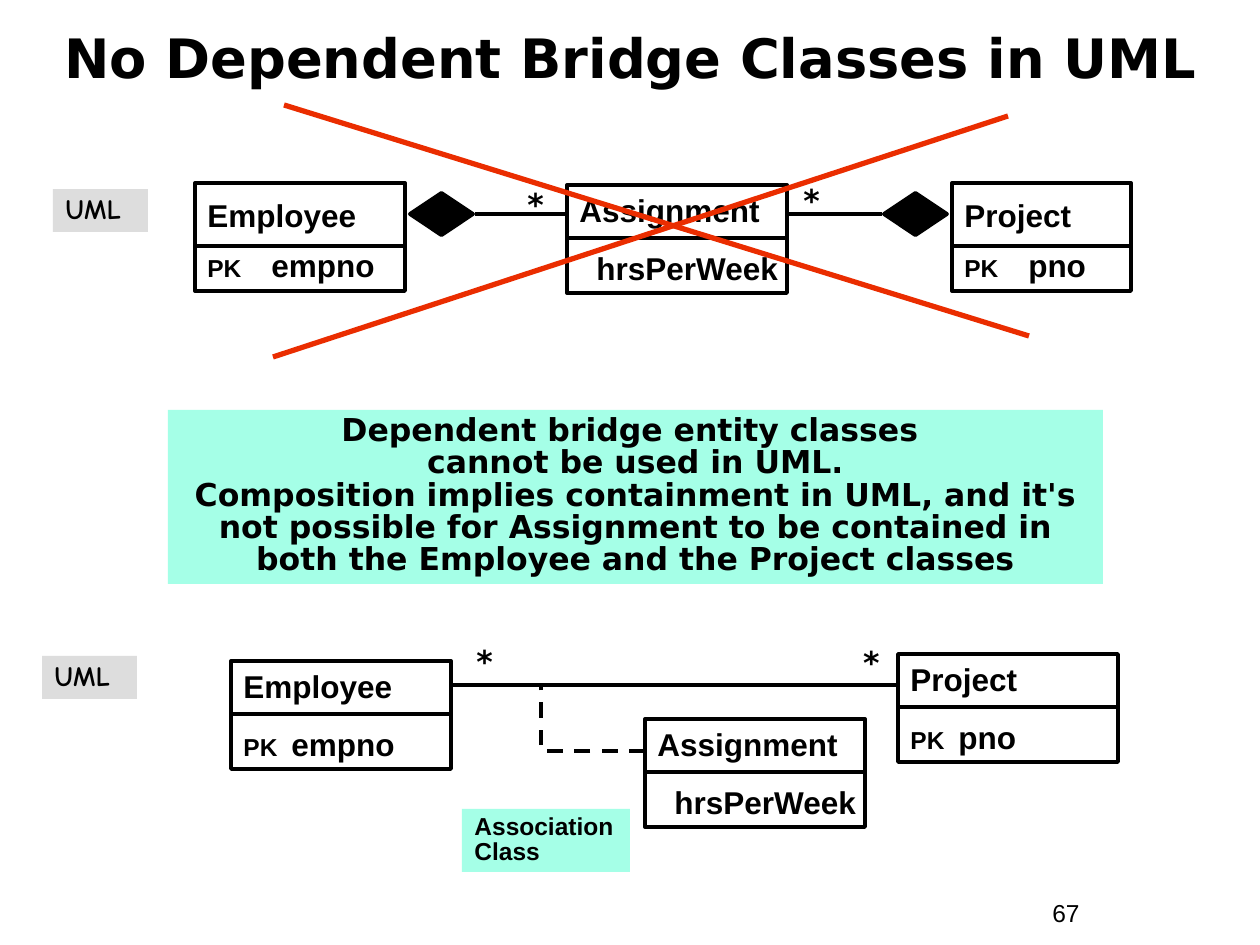
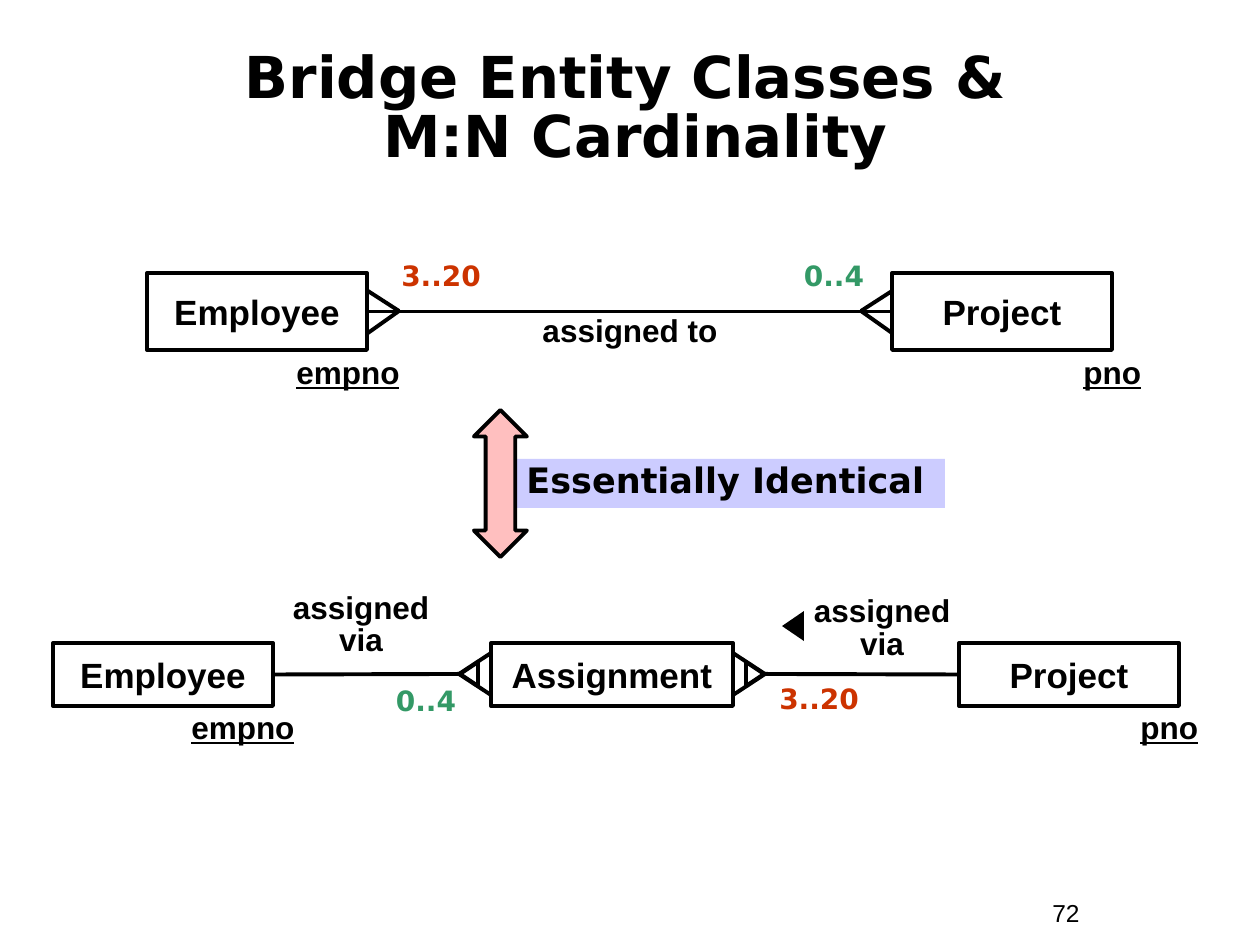
"""Build two slides on bridge classes in UML and entity diagrams."""
from dataclasses import dataclass

from lxml import etree
from pptx import Presentation
from pptx.dml.color import RGBColor
from pptx.enum import dml, shapes, text
from pptx.oxml import ns
from pptx.util import Pt


@dataclass(frozen=True)
class Theme:
    """Colours, fonts, type sizes and line widths."""
    ink: str = "000000"
    cross: str = "EA2D00"
    mint: str = "A5FFE7"
    grey: str = "DDDDDD"
    lilac: str = "CCCCFF"
    pink: str = "FFBFBF"
    many: str = "CC3300"
    few: str = "339966"
    sans: str = "Arial"
    display: str = "DejaVu Sans"
    hand: str = "Comic Neue"
    small: int = 14
    medium: int = 16
    body: int = 18
    large: int = 20
    border: float = 2.25
    strike: float = 3


THEME = Theme()
SCALE = 914400 / 126
PAGE_SIZE = (1260, 945)
NUMBER_AREA = (1040, 892, 116, 43)
HEAD_HEIGHT = 63
UML_SIZE = (220, 108)
UML_DIVIDER = 53
SIDES = {"top": 0, "left": 1, "bottom": 2, "right": 3}
CENTER = text.PP_ALIGN.CENTER
MIDDLE = text.MSO_ANCHOR.MIDDLE

BASE = dict(font=THEME.sans, size=THEME.body, color=THEME.ink, bold=True, underline=None,
            align=text.PP_ALIGN.LEFT, spacing=None, anchor=text.MSO_ANCHOR.TOP, wrap=True,
            fill=None, border=None, tab=None, indent=0)
FORMATS = {
    "number": dict(size=THEME.small, bold=False),
    "title": dict(font=THEME.display, size=31, align=CENTER, anchor=MIDDLE),
    "title two lines": dict(font=THEME.display, size=33, align=CENTER, anchor=MIDDLE, spacing=0.85),
    "star": dict(font=THEME.display, align=CENTER, spacing=0.9),
    "notation": dict(font=THEME.hand, size=THEME.medium, spacing=0.9, fill=THEME.grey),
    "class": dict(border=THEME.ink, wrap=False, tab=48, indent=17),
    "class head": dict(border=THEME.ink, wrap=False, anchor=MIDDLE),
    "class key": dict(border=THEME.ink, spacing=0.85, tab=64),
    "message": dict(font=THEME.display, align=CENTER, spacing=0.85, fill=THEME.mint),
    "note": dict(size=THEME.small, spacing=0.85, fill=THEME.mint),
    "entity": dict(size=THEME.large, align=CENTER, anchor=MIDDLE, wrap=False, border=THEME.ink),
    "key": dict(underline=True, spacing=0.8),
    "lower key": dict(underline=True, spacing=0.9),
    "many": dict(font=THEME.display, size=THEME.medium, align=CENTER, color=THEME.many),
    "few": dict(font=THEME.display, size=THEME.medium, align=CENTER, color=THEME.few),
    "role": dict(align=CENTER, spacing=0.85),
    "banner": dict(font=THEME.display, size=THEME.large, spacing=0.85, fill=THEME.lilac),
}

UML_LABELS = [
    ("title", (42, 10, 1176, 94), "No Dependent Bridge Classes in UML"),
    ("star", (840, 641, 63, 47), "*"),
    ("star", (432, 640, 105, 47), "*"),
    ("star", (508, 183, 55, 47), "*"),
    ("star", (784, 179, 55, 47), "*"),
    ("notation", (42, 656, 95, 43), "UML"),
    ("notation", (53, 189, 95, 43), "UML"),
    ("message", (168, 410, 935, 174),
     "Dependent bridge entity classes \vcannot be used in UML.\vComposition implies containment "
     "in UML, and it's not possible for Assignment to be contained in both the Employee and "
     "the Project classes"),
    ("note", (462, 809, 168, 63), "Association Class"),
]
UML_CLASSES = [
    (567, 185, "Assignment", "hrsPerWeek", False),
    (645, 719, "Assignment", "hrsPerWeek", False),
    (231, 661, "Employee", "empno", True),
    (898, 654, "Project", "pno", True),
]
COMPOSED_CLASSES = [(195, 183, 210, "Employee", "empno"), (952, 183, 179, "Project", "pno")]
DIAMONDS = [(410, 193, 63, 42), (884, 193, 63, 42)]
UML_LINES = [(451, 685, 898, 685), (567, 214, 475, 214), (787, 214, 882, 214)]
ASSOCIATION_LINK = (645, 751, 541, 685)
CROSS_LINES = [(273, 357, 1008, 116), (1029, 336, 284, 105)]

ENTITY_LABELS = [
    ("title two lines", (42, 42, 1187, 136), "Bridge Entity Classes & \vM:N Cardinality"),
    ("few", (766, 252, 136, 47), "0..4"),
    ("many", (357, 252, 168, 47), "3..20"),
    ("few", (358, 677, 136, 47), "0..4"),
    ("many", (735, 675, 168, 47), "3..20"),
    ("key", (284, 354, 189, 77), "empno"),
    ("key", (1071, 354, 116, 43), "pno"),
    ("lower key", (179, 706, 189, 47), "empno"),
    ("lower key", (1128, 706, 122, 47), "pno"),
    ("role", (525, 311, 210, 45), "assigned to"),
    ("role", (277, 588, 168, 77), "assigned via"),
    ("role", (798, 591, 168, 77), "assigned via"),
    ("banner", (514, 459, 431, 49), "Essentially Identical"),
]
ENTITIES = {
    "upper employee": ((147, 273, 220, 77), "Employee"),
    "upper project": ((892, 273, 220, 77), "Project"),
    "lower employee": ((53, 643, 220, 63), "Employee"),
    "assignment": ((491, 643, 242, 63), "Assignment"),
    "lower project": ((959, 643, 220, 63), "Project"),
}
RELATIONS = [
    ((367, 311, 892, 311), ("upper employee", "right"), ("upper project", "left")),
    ((273, 674, 460, 674), ("lower employee", "right"), None),
    ((959, 674, 765, 674), ("lower project", "left"), None),
]
CROW_FEET = [(399, 368), (861, 892)]
CROW_FOOT_Y = (311, 291, 333)
BRIDGE_FEET = [(733, 1), (491, -1)]
FOOT_TRIANGLES = [(16, 42, 32), (22, 24, 18)]
DOUBLE_ARROW = (474, 410, 53, 147)


def px(*lengths):
    """Turn px lengths into EMU."""
    return [round(length * SCALE) for length in lengths]


def assign(target, **values):
    """Set each named attribute on the target."""
    for name, value in values.items():
        setattr(target, name, value)


def paint(shape, fill=None, border=None):
    """Give a shape its fill and border, or none."""
    shape.shadow.inherit = False
    if fill:
        shape.fill.solid()
        shape.fill.fore_color.rgb = RGBColor.from_string(fill)
    else:
        shape.fill.background()
    if border:
        shape.line.color.rgb = RGBColor.from_string(border)
        shape.line.width = Pt(THEME.border)
    else:
        shape.line.fill.background()


def add_preset(page, kind, area, fill=None, border=None, rotation=0):
    """Add a painted preset shape."""
    shape = page.shapes.add_shape(kind, *px(*area))
    shape.rotation = rotation
    paint(shape, fill, border)
    return shape


def add_label(page, name, area, *paragraphs):
    """Add text in a named format; a paragraph is a string or (text, size) spans."""
    look = {**BASE, **FORMATS[name]}
    if look["fill"] or look["border"]:
        box = add_preset(page, shapes.MSO_SHAPE.RECTANGLE, area, look["fill"], look["border"])
    else:
        box = page.shapes.add_textbox(*px(*area))
    frame = box.text_frame
    assign(frame, word_wrap=look["wrap"], vertical_anchor=look["anchor"])
    for index, spans in enumerate(paragraphs):
        para = frame.add_paragraph() if index else frame.paragraphs[0]
        plain = isinstance(spans, str)
        properties = para._p.get_or_add_pPr()
        if look["tab"] and not plain:
            tabs = etree.SubElement(properties, ns.qn("a:tabLst"))
            etree.SubElement(tabs, ns.qn("a:tab"), pos=str(px(look["tab"])[0]), algn="l")
        if index:
            para.space_before = Pt(11.2)
            if plain:
                properties.set("marL", str(px(look["indent"])[0]))
        assign(para, alignment=look["align"], line_spacing=look["spacing"])
        if plain:
            spans = [(spans, look["size"])]
        for words, size in spans:
            for number, line in enumerate(words.split("\v")):
                if number:
                    para.add_line_break()
                span = para.add_run()
                span.text = line
                assign(span.font, name=look["font"], size=Pt(size), bold=look["bold"],
                       underline=look["underline"])
                span.font.color.rgb = RGBColor.from_string(look["color"])
    return box


def add_line(page, ends, color=THEME.ink, width=THEME.border, kind=shapes.MSO_CONNECTOR.STRAIGHT):
    """Add a connector without a shadow."""
    line = page.shapes.add_connector(kind, *px(*ends))
    line.line.color.rgb = RGBColor.from_string(color)
    line.line.width = Pt(width)
    etree.SubElement(line._element.spPr, ns.qn("a:effectLst"))
    return line


def add_triangle(page, center, base, height, rotation, **colors):
    """Add a triangle turned about its centre."""
    area = (center[0] - base / 2, center[1] - height / 2, base, height)
    add_preset(page, shapes.MSO_SHAPE.ISOSCELES_TRIANGLE, area, rotation=rotation, **colors)


def key_spans(key):
    """Return the spans of a primary key row."""
    return [("PK", THEME.small), ("\t" + key, THEME.body)]


def start_page(deck, number, labels):
    """Add a blank page with its number and labels."""
    page = deck.slides.add_slide(deck.slide_layouts[6])
    for name, area, words in [("number", NUMBER_AREA, number), *labels]:
        add_label(page, name, area, words)
    return page


def build_uml_page(deck):
    """Show the invalid composition and the association class."""
    page = start_page(deck, "67", UML_LABELS)
    for left, top, name, attribute, is_key in UML_CLASSES:
        row = key_spans(attribute) if is_key else attribute
        add_label(page, "class", (left, top, *UML_SIZE), name, row)
        divider = top + UML_DIVIDER
        add_line(page, (left, divider, left + UML_SIZE[0], divider))
    for left, top, width, name, key in COMPOSED_CLASSES:
        add_label(page, "class head", (left, top, width, HEAD_HEIGHT), name)
        add_label(page, "class key", (left, top + HEAD_HEIGHT, width, 45), key_spans(key))
    for area in DIAMONDS:
        add_preset(page, shapes.MSO_SHAPE.DIAMOND, area, THEME.ink, THEME.ink)
    for ends in UML_LINES:
        add_line(page, ends)
    link = add_line(page, ASSOCIATION_LINK, kind=shapes.MSO_CONNECTOR.ELBOW)
    link._element.spPr.find(ns.qn("a:prstGeom")).set("prst", "bentConnector2")
    link.line.dash_style = dml.MSO_LINE.DASH
    for ends in CROSS_LINES:
        add_line(page, ends, THEME.cross, THEME.strike)


def build_entity_page(deck):
    """Show the M:N relation and its bridge entity form."""
    page = start_page(deck, "72", ENTITY_LABELS)
    boxes = {name: add_label(page, "entity", *entity) for name, entity in ENTITIES.items()}
    for ends, start, finish in RELATIONS:
        line = add_line(page, ends)
        for join, target in ((line.begin_connect, start), (line.end_connect, finish)):
            if target:
                join(boxes[target[0]], SIDES[target[1]])
    middle, *toes = CROW_FOOT_Y
    for tip, side in CROW_FEET:
        for toe in toes:
            add_line(page, (tip, middle, side, toe))
    for side, direction in BRIDGE_FEET:
        for offset, base, height in FOOT_TRIANGLES:
            add_triangle(page, (side + direction * offset, 674), base, height,
                         90 * direction % 360, border=THEME.ink)
    add_triangle(page, (793, 626), 30, 22, 270, fill=THEME.ink)
    arrow = add_preset(page, shapes.MSO_SHAPE.UP_DOWN_ARROW, DOUBLE_ARROW, THEME.pink, THEME.ink)
    arrow.adjustments[0], arrow.adjustments[1] = 0.5, 0.56


def main():
    """Build and save the deck."""
    deck = Presentation()
    deck.slide_width, deck.slide_height = px(*PAGE_SIZE)
    build_uml_page(deck)
    build_entity_page(deck)
    deck.save("out.pptx")


if __name__ == "__main__":
    main()
